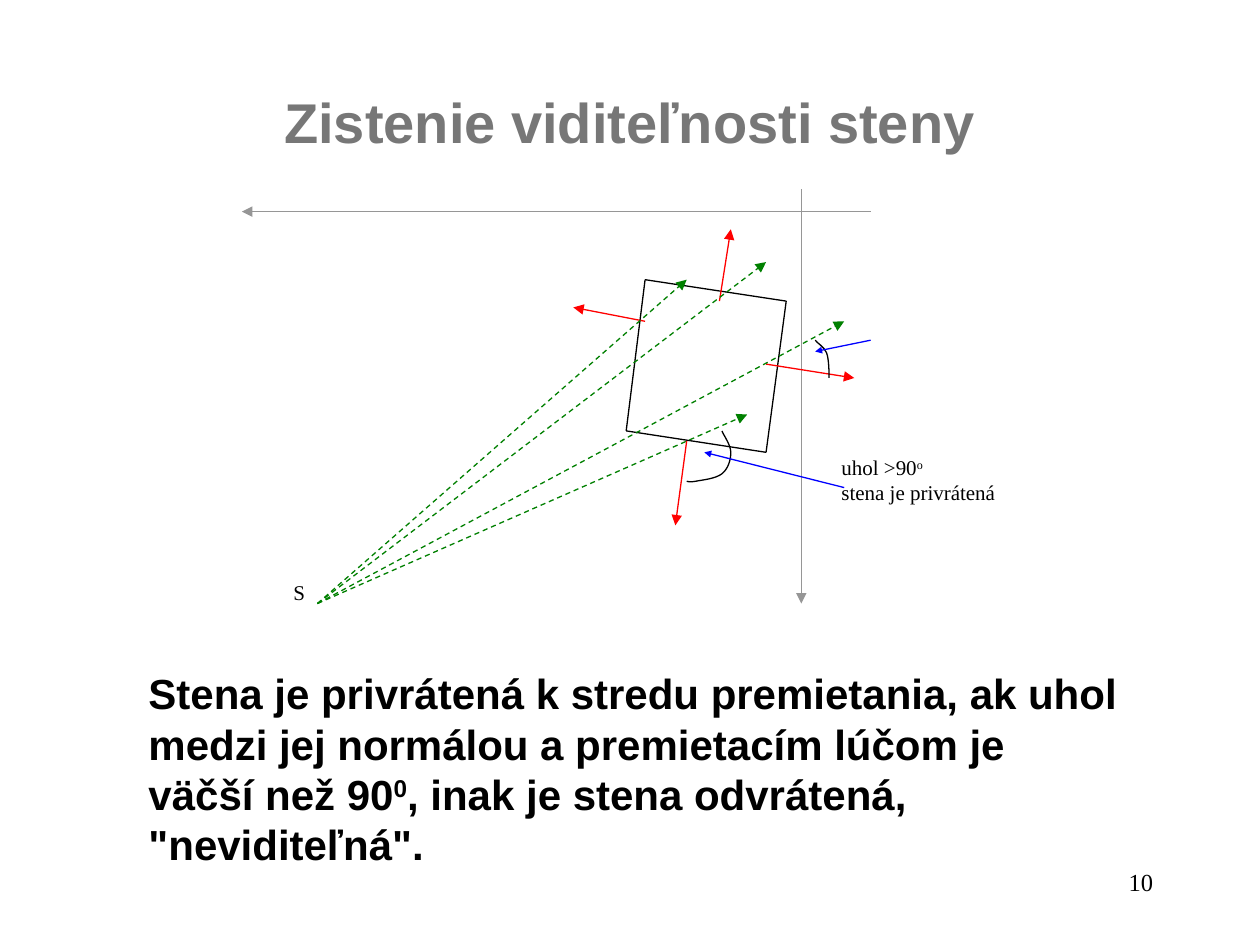
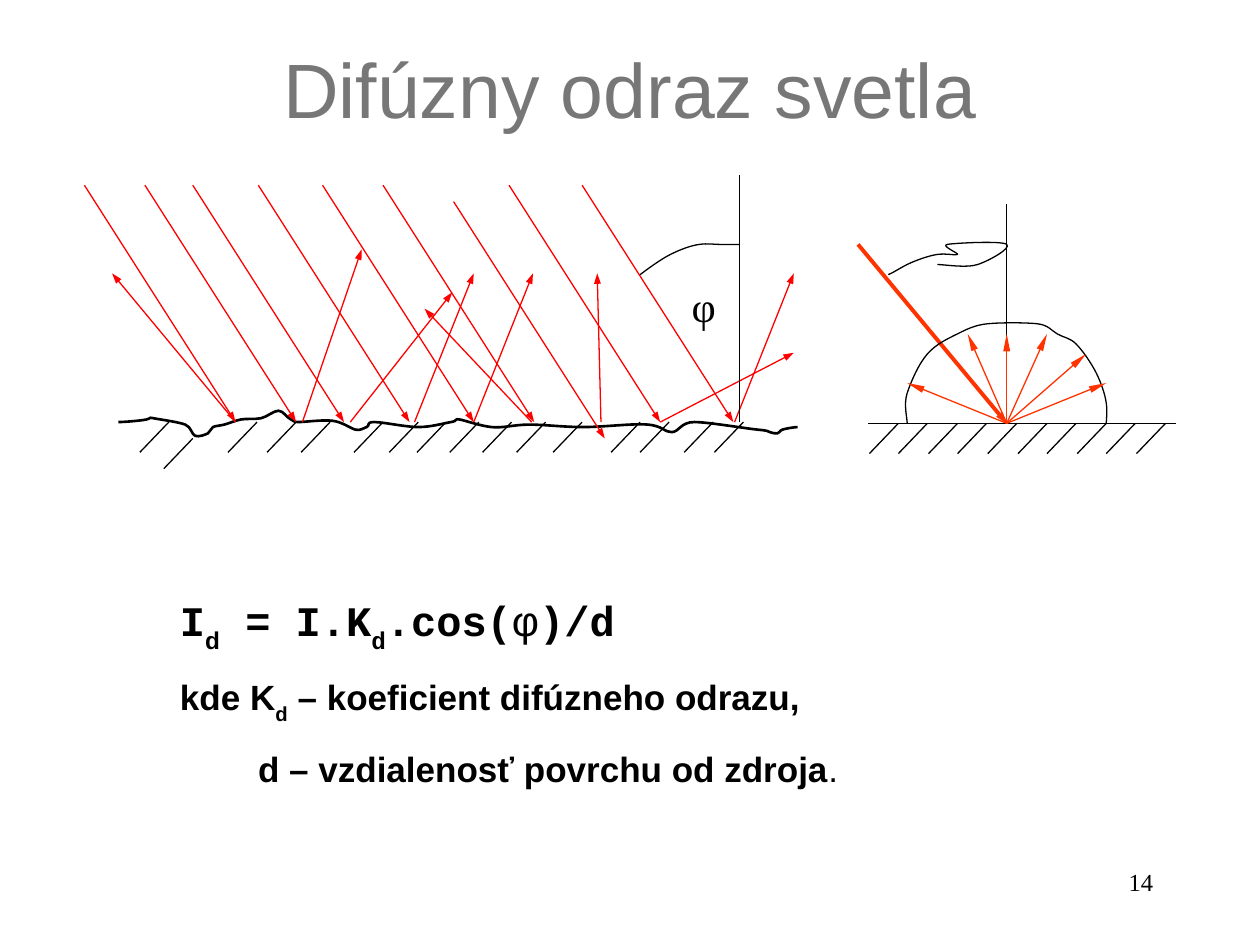
from dataclasses import dataclass, replace
from itertools import pairwise

from lxml.etree import SubElement
from pptx import Presentation
from pptx.dml.color import RGBColor
from pptx.enum.dml import MSO_LINE
from pptx.enum.shapes import MSO_CONNECTOR
from pptx.enum.text import MSO_ANCHOR, MSO_AUTO_SIZE, PP_ALIGN
from pptx.oxml.ns import qn
from pptx.util import Pt

PX = 9144
BLACK, GREY, AXIS = "000000", "777777", "969696"
RED, GREEN, BLUE, ORANGE = "FF0000", "008000", "0000FF", "FF3300"
SUPER, SUB = 30, -30
THIN, MEDIUM, THICK = 0.75, 1.5, 2.25
HEAD, SMALL_HEAD = ("med", "med"), ("sm", "sm")
NARROW_HEAD, LONG_HEAD = ("sm", "med"), ("sm", "lg")


@dataclass(frozen=True)
class Style:
    """Character formatting, with base as percent shift off the baseline."""
    size: int
    font: str = "Arial"
    bold: bool = False
    color: str = BLACK
    base: int = 0


LABEL = Style(12, "Times New Roman")
PAGE_NUMBER = replace(LABEL, size=14)
ANGLE_NAME = replace(LABEL, size=24)
STATEMENT = Style(24, bold=True)
LEGEND = Style(20, bold=True)
FORMULA = Style(24, "Courier New", True)


def rgb(hex_code):
    """Turn a hex string into a colour."""
    return RGBColor.from_string(hex_code)


def emu(lengths):
    """Turn px lengths into EMU."""
    return [v * PX for v in lengths]


def shift(point, offset):
    """Move a point by an offset."""
    return point[0] + offset[0], point[1] + offset[1]


def add_run(p, text, style):
    """Add one run in a style."""
    r = p.add_run()
    r.text = text
    r.font.size, r.font.name, r.font.bold = Pt(style.size), style.font, style.bold
    r.font.color.rgb = rgb(style.color)
    if style.base:
        r._r.get_or_add_rPr().set("baseline", str(style.base * 1000))


def add_text(s, box, *paragraphs, align=PP_ALIGN.LEFT, before=0):
    """Add a text box; each paragraph is a list of (text, style) runs."""
    tf = s.shapes.add_textbox(*emu(box)).text_frame
    tf.word_wrap = True
    for i, runs in enumerate(paragraphs):
        p = tf.add_paragraph() if i else tf.paragraphs[0]
        p.alignment = align
        p.space_before = Pt(before if i else 0)
        for text, style in runs:
            add_run(p, text, style)
    return tf


def add_titled_slide(prs, title, top, height, style, number):
    """Add a title-only slide with its title and page number."""
    s = prs.slides.add_slide(prs.slide_layouts[5])
    sp = s.shapes.title
    sp.left, sp.top, sp.width, sp.height = emu((75, top, 850, height))
    tf = sp.text_frame
    tf.auto_size, tf.word_wrap = MSO_AUTO_SIZE.NONE, True
    tf.vertical_anchor = MSO_ANCHOR.MIDDLE
    p = tf.paragraphs[0]
    p.alignment = PP_ALIGN.CENTER
    add_run(p, title, style)
    add_text(s, (717, 683, 208, 50), [(number, PAGE_NUMBER)], align=PP_ALIGN.RIGHT)
    return s


def add_line(s, start, end, color=BLACK, width=THIN, head=None, dashed=False):
    """Add a line, with head as the arrowhead's width and length."""
    cx = s.shapes.add_connector(MSO_CONNECTOR.STRAIGHT, *emu((*start, *end)))
    cx.line.color.rgb, cx.line.width = rgb(color), Pt(width)
    if dashed:
        cx.line.dash_style = MSO_LINE.DASH
    if head:
        SubElement(cx.line._get_or_add_ln(), qn("a:tailEnd"),
                   type="triangle", w=head[0], len=head[1])
    SubElement(cx._element.spPr, qn("a:effectLst"))


def smooth_controls(knots):
    """Give the Bezier points after the first knot, by the Catmull-Rom rule."""
    padded = [knots[0], *knots, knots[-1]]
    points = []
    for before, start, end, after in zip(padded, padded[1:], padded[2:], padded[3:]):
        leave = [b + (c - a) / 6 for a, b, c in zip(before, start, end)]
        arrive = [c - (d - b) / 6 for b, c, d in zip(start, end, after)]
        points += [leave, arrive, end]
    return points


def add_curve(s, knots, width=THIN):
    """Add an open smooth curve through the knots."""
    builder = s.shapes.build_freeform(*knots[0], scale=PX)
    builder.add_line_segments(smooth_controls(knots), close=False)
    sp = builder.convert_to_shape()
    sp.shadow.inherit = False
    sp.fill.background()
    sp.line.color.rgb, sp.line.width = rgb(BLACK), Pt(width)
    path = sp._element.find(".//" + qn("a:path"))
    steps = path.findall(qn("a:lnTo"))
    for i in range(0, len(steps), 3):
        bezier = SubElement(path, qn("a:cubicBezTo"))
        for step in steps[i:i + 3]:
            bezier.append(step[0])
            path.remove(step)


def add_hatch(s, tops):
    """Add a slanted tick below each point."""
    for top in tops:
        add_line(s, top, shift(top, (-23, 24)))


def draw_face_with_normals(s):
    """Draw the four walls and the normal leaving each of them."""
    top_left, top_right = (512, 222), (624, 239)
    bottom_right, bottom_left = (608, 359), (497, 342)
    corners = [top_left, top_right, bottom_right, bottom_left, top_left]
    for start, end in pairwise(corners):
        add_line(s, start, end)
    normals = {(512, 255): (-57, -11), (571, 239): (9, -57),
               (608, 289): (70, 11), (545, 350): (-9, 67)}
    for foot, direction in normals.items():
        add_line(s, foot, shift(foot, direction), RED, head=HEAD)


def draw_projection_rays(s):
    """Draw the dashed rays from the centre of projection S."""
    centre = (252, 479)
    add_text(s, (223, 455, 57, 45), [("S", LABEL)])
    for tip in [(545, 222), (608, 208), (670, 255), (593, 329)]:
        add_line(s, centre, tip, GREEN, head=HEAD, dashed=True)


def draw_marked_angles(s):
    """Draw the angles between rays and normals, with their pointers."""
    wide = [(573, 342), (580, 359), (573, 376), (552, 382), (545, 382)]
    sharp = [(647, 270), (656, 280), (658, 300)]
    add_curve(s, wide)
    add_curve(s, sharp)
    add_text(s, (658, 356, 192, 81),
             [("uhol >90", LABEL), ("o", replace(LABEL, base=SUPER))],
             [("stena je privrátená", LABEL)])
    add_line(s, (670, 387), (559, 359), BLUE, head=SMALL_HEAD)
    add_line(s, (691, 270), sharp[0][:1] + (279,), BLUE, head=SMALL_HEAD)


def build_visibility(prs):
    """Build the slide on wall visibility."""
    s = add_titled_slide(prs, "Zistenie viditeľnosti steny", 67, 58,
                         Style(32, bold=True, color=GREY), "10")
    add_line(s, (691, 168), (192, 168), AXIS, head=HEAD)
    add_line(s, (636, 150), (636, 479), AXIS, head=HEAD)
    draw_face_with_normals(s)
    draw_projection_rays(s)
    draw_marked_angles(s)
    add_text(s, (108, 525, 792, 170), [
        ("Stena je privrátená k stredu premietania, ak uhol medzi jej normálou "
         "a premietacím lúčom je väčší než 90", STATEMENT),
        ("0", replace(STATEMENT, base=SUPER)),
        (", inak je stena odvrátená, \"neviditeľná\".", STATEMENT)])


def draw_rough_surface(s, ground):
    """Draw the uneven surface as bumps about the ground, and its hatching."""
    bumps = {94: 0, 116: -2, 122: -3, 147: 2, 155: 11, 165: 9, 169: 4, 178: 2,
             191: -2, 207: -3, 221: -9, 231: -2, 237: 0, 264: -1, 282: 6, 291: 4,
             297: 0, 332: 4, 358: 0, 365: -2, 390: 4, 420: 2, 463: 4, 514: 2,
             533: 8, 551: 0, 601: 6, 611: 8, 617: 9, 621: 6, 633: 4}
    add_curve(s, [(x, ground + bump) for x, bump in bumps.items()], MEDIUM)
    hatch_xs = (134, 204, 235, 262, 304, 332, 354, 380, 406, 433, 462, 508,
                531, 566, 590)
    add_hatch(s, [(x, ground) for x in hatch_xs] + [(153, ground + 13)])


def draw_rough_rays(s, ground):
    """Draw parallel incoming rays and the scattered ones."""
    ray = (120, 188)
    sources = [(x, ground - ray[1]) for x in (67, 115, 153, 205, 256, 304, 404, 462)]
    low_source = (360, ground - ray[1] + 13)
    for source in [*sources, low_source]:
        add_line(s, source, shift(source, ray), RED, head=NARROW_HEAD)
    scattered = {187: (-98, -118), 240: (47, -137), 278: (81, -103),
                 329: (47, -118), 376: (47, -118), 422: (-85, -90),
                 477: (-3, -118), 524: (106, -55), 583: (47, -118)}
    for x, direction in scattered.items():
        add_line(s, (x, ground), shift((x, ground), direction), RED, head=NARROW_HEAD)


def draw_incidence_angle(s, ground):
    """Draw the surface normal and the angle of incidence."""
    add_line(s, (587, ground), (587, 139))
    add_curve(s, [(508, 218), (532, 202), (555, 194), (571, 194), (587, 194)])
    add_text(s, (539, 218, 63, 50), [("φ", ANGLE_NAME)])


def draw_scatter_lobe(s, hit):
    """Draw one ray hitting flat ground and the lobe it scatters into."""
    x, ground = hit
    add_line(s, (689, ground), (933, ground))
    add_hatch(s, [(round(712.6 + 23.6 * i), ground) for i in range(10)])
    add_line(s, (x, 162), hit)
    add_line(s, (681, 194), hit, ORANGE, THICK, NARROW_HEAD)
    lobe = [(-79, 0), (-79, -24), (-63, -55), (-39, -71), (-15, -79), (24, -79),
            (40, -71), (55, -63), (71, -40), (79, -16), (79, 0)]
    add_curve(s, [shift(hit, knot) for knot in lobe])
    scattered = [(-79, -32), (-31, -71), (0, -71), (32, -71), (63, -55), (79, -32)]
    for direction in scattered:
        add_line(s, hit, shift(hit, direction), ORANGE, head=LONG_HEAD)
    add_curve(s, [(705, 218), (720, 210), (744, 202), (760, 202), (752, 194),
                  (799, 194), (776, 210), (744, 210)])


def write_formula(s):
    """Write the diffuse formula and explain its symbols."""
    legend_sub = replace(LEGEND, base=SUB)
    tf = add_text(
        s, (133, 467, 692, 216),
        [("I", FORMULA), ("d", replace(STATEMENT, base=SUB)), (" = I.K", FORMULA),
         ("d", replace(FORMULA, base=SUB)), (".cos(", FORMULA),
         ("φ", replace(STATEMENT, bold=False)), (")/d", FORMULA)],
        [("kde K", LEGEND), ("d", legend_sub),
         (" – koeficient difúzneho odrazu,", LEGEND)],
        [("d – vzdialenosť povrchu od zdroja", LEGEND),
         (".", replace(LEGEND, bold=False))],
        before=12.5)
    tf.paragraphs[2]._p.get_or_add_pPr().set("marL", str(62 * PX))


def build_diffuse(prs):
    """Build the slide on diffuse reflection."""
    s = add_titled_slide(prs, "Difúzny odraz svetla", 36, 67,
                         Style(44, color=GREY), "14")
    rough_ground, flat_hit = 335, (799, 336)
    draw_rough_surface(s, rough_ground)
    draw_rough_rays(s, rough_ground)
    draw_incidence_angle(s, rough_ground)
    draw_scatter_lobe(s, flat_hit)
    write_formula(s)


def main():
    """Build and save the presentation."""
    prs = Presentation()
    prs.slide_width, prs.slide_height = emu((1000, 750))
    build_visibility(prs)
    build_diffuse(prs)
    prs.save("out.pptx")


if __name__ == "__main__":
    main()
